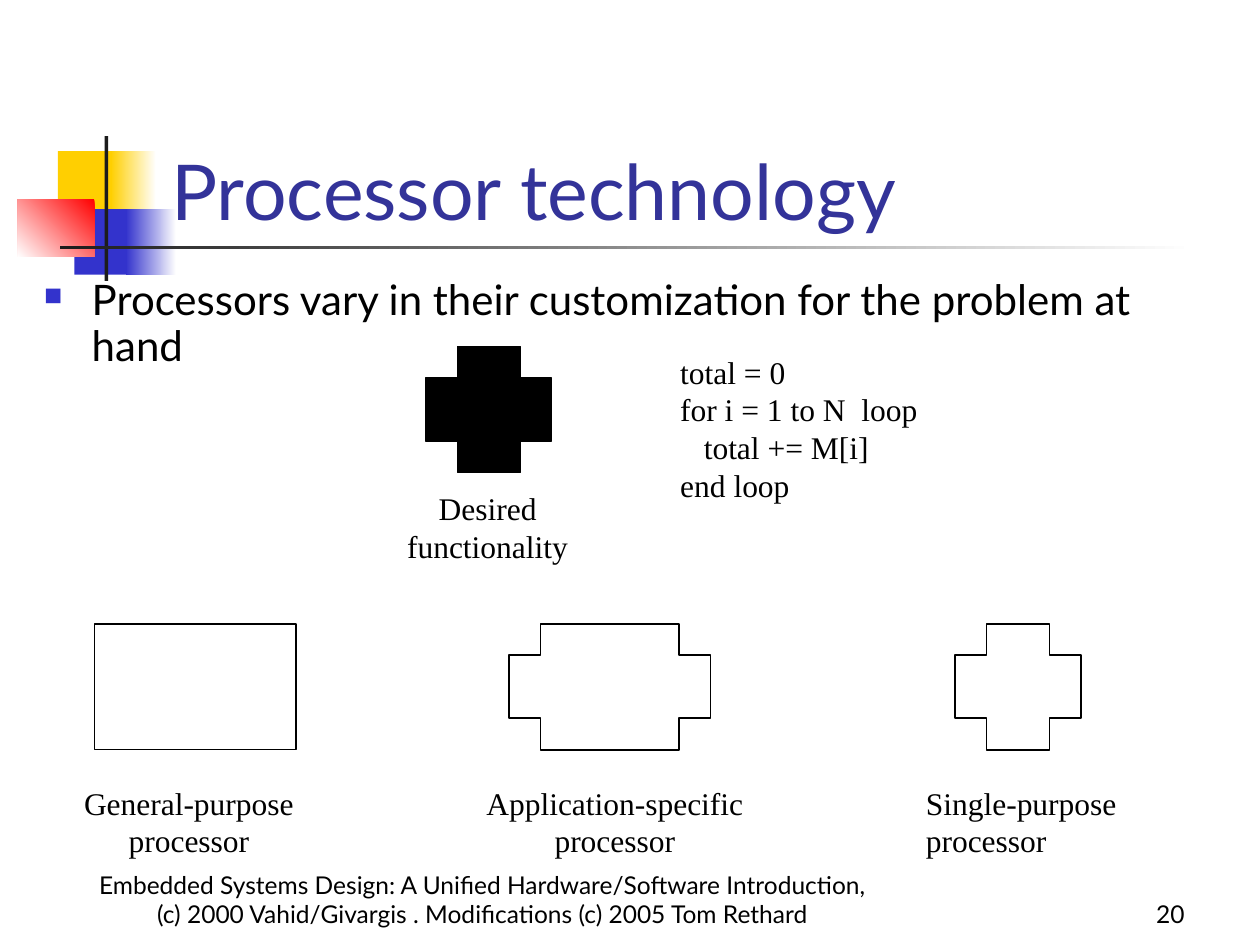
from lxml import etree
from pptx import Presentation
from pptx.dml.color import RGBColor
from pptx.enum.shapes import MSO_SHAPE
from pptx.enum.text import MSO_ANCHOR, MSO_AUTO_SIZE, PP_ALIGN
from pptx.oxml.ns import qn
from pptx.util import Inches, Pt

RECT, CROSS = MSO_SHAPE.RECTANGLE, MSO_SHAPE.CROSS
LEFT, CENTER, RIGHT = PP_ALIGN.LEFT, PP_ALIGN.CENTER, PP_ALIGN.RIGHT
TOP, BOTTOM = MSO_ANCHOR.TOP, MSO_ANCHOR.BOTTOM

THEME = {
    "sans": "Lato", "serif": "Times New Roman",
    "title_size": 44, "body_size": 24, "label_size": 18, "footer_size": 14,
    "title": "333399", "text": "000000", "paper": "FFFFFF",
    "yellow": "FFCF01", "blue": "3333CC", "red": "FF0000", "dark": "1C1C1C",
}

TITLE = "Processor technology"
POINT = "Processors vary in their customization for the problem at hand"
CODE = ["total = 0", "for i = 1 to N  loop", "   total += M[i]", "end loop"]
FOOTER = ("Embedded Systems Design: A Unified Hardware/Software Introduction, "
          "(c) 2000 Vahid/Givargis . Modifications (c) 2005 Tom Rethard")
PAGE = "20"

# box, colours (one is solid, two are a gradient), clockwise-negative angle
ORNAMENTS = [
    ((0.46, 1.2, 0.48, 0.52), ["yellow"], None),
    ((0.88, 1.2, 0.36, 0.52), ["paper", "yellow"], 180),
    ((0.59, 1.66, 0.46, 0.52), ["blue"], None),
    ((1, 1.66, 0.4, 0.52), ["paper", "blue"], 180),
    ((0.14, 1.58, 0.61, 0.46), ["red", "paper"], 225),
    ((0.83, 1.08, 0.03, 1.15), ["dark"], None),
    ((0.48, 1.95, 9, 0.03), ["paper", "dark"], 180),
]

FIGURE_HEIGHT = 1
PROCESSOR_TOP, PROCESSOR_LABEL_TOP = 4.95, 6.17
PROCESSORS = [
    ("General-purpose processor", RECT, 0.75, 1.6, 0.5, 2, CENTER),
    ("Application-specific processor", CROSS, 4.04, 1.6, 3.67, 2.42, CENTER),
    ("Single-purpose processor", CROSS, 7.58, 1, 7.25, 1.83, LEFT),
]


def color(name):
    return RGBColor.from_string(THEME[name])


def add_figure(slide, preset, box, fills, angle=None, line_width=None):
    figure = slide.shapes.add_shape(preset, *map(Inches, box))
    figure.shadow.inherit = False
    if angle is None:
        figure.fill.solid()
        figure.fill.fore_color.rgb = color(fills[0])
    else:
        figure.fill.gradient()
        figure.fill.gradient_angle = angle
        for stop, name in zip(figure.fill.gradient_stops, fills):
            stop.color.rgb = color(name)
    if line_width:
        figure.line.color.rgb = color("text")
        figure.line.width = Pt(line_width)
    else:
        figure.line.fill.background()


def add_bullet(paragraph):
    paragraph.line_spacing = 0.9
    props = paragraph._p.get_or_add_pPr()
    props.set("marL", str(Inches(0.38)))
    props.set("indent", str(Inches(-0.38)))
    tint = etree.SubElement(props, qn("a:buClr"))
    etree.SubElement(tint, qn("a:srgbClr"), val=THEME["blue"])
    etree.SubElement(props, qn("a:buSzPct"), val="60000")
    etree.SubElement(props, qn("a:buChar"), char="■")


def write(holder, lines, face, size, ink="text", align=LEFT, anchor=TOP,
          side=0.1, bullet=False):
    frame = holder.text_frame
    frame.word_wrap = True
    frame.auto_size = MSO_AUTO_SIZE.NONE
    frame.vertical_anchor = anchor
    frame.margin_left = frame.margin_right = Inches(side)
    frame.margin_top = frame.margin_bottom = Inches(0.05)
    frame.text = "\n".join(lines)
    for paragraph in frame.paragraphs:
        paragraph.alignment = align
        if bullet:
            add_bullet(paragraph)
        paragraph.font.name = THEME[face]
        paragraph.font.size = Pt(THEME[size])
        paragraph.font.color.rgb = color(ink)


def add_text(slide, box, lines, face="serif", size="label_size", **style):
    holder = slide.shapes.add_textbox(*map(Inches, box))
    write(holder, lines, face, size, **style)


def main():
    deck = Presentation()
    deck.slide_width, deck.slide_height = Inches(10), Inches(7.5)
    slide = deck.slides.add_slide(deck.slide_layouts[5])

    for box, fills, angle in ORNAMENTS:
        add_figure(slide, RECT, box, fills, angle)

    title = slide.shapes.title
    title.left, title.top = Inches(1.26), Inches(0.67)
    title.width, title.height = Inches(8.52), Inches(1.25)
    write(title, [TITLE], "sans", "title_size", ink="title", anchor=BOTTOM)
    add_text(slide, (0.25, 2.17, 9.33, 0.83), [POINT], "sans", "body_size",
             bullet=True)

    add_figure(slide, CROSS, (3.38, 2.75, 1, FIGURE_HEIGHT), ["text"],
               line_width=0.75)
    add_text(slide, (2.83, 3.83, 2.08, 0.72), ["Desired functionality"],
             align=CENTER, side=0)
    add_text(slide, (5.3, 2.75, 2.45, 1.7), CODE)

    for label, preset, left, width, label_left, label_width, align in PROCESSORS:
        add_figure(slide, preset, (left, PROCESSOR_TOP, width, FIGURE_HEIGHT),
                   ["paper"], line_width=1)
        add_text(slide, (label_left, PROCESSOR_LABEL_TOP, label_width, 0.75),
                 [label], align=align)

    for left, width, words, align in [(0.58, 6.5, FOOTER, CENTER),
                                      (7.42, 2.08, PAGE, RIGHT)]:
        add_text(slide, (left, 6.92, width, 0.5), [words], "sans",
                 "footer_size", align=align, anchor=BOTTOM)

    deck.save("out.pptx")


if __name__ == "__main__":
    main()
